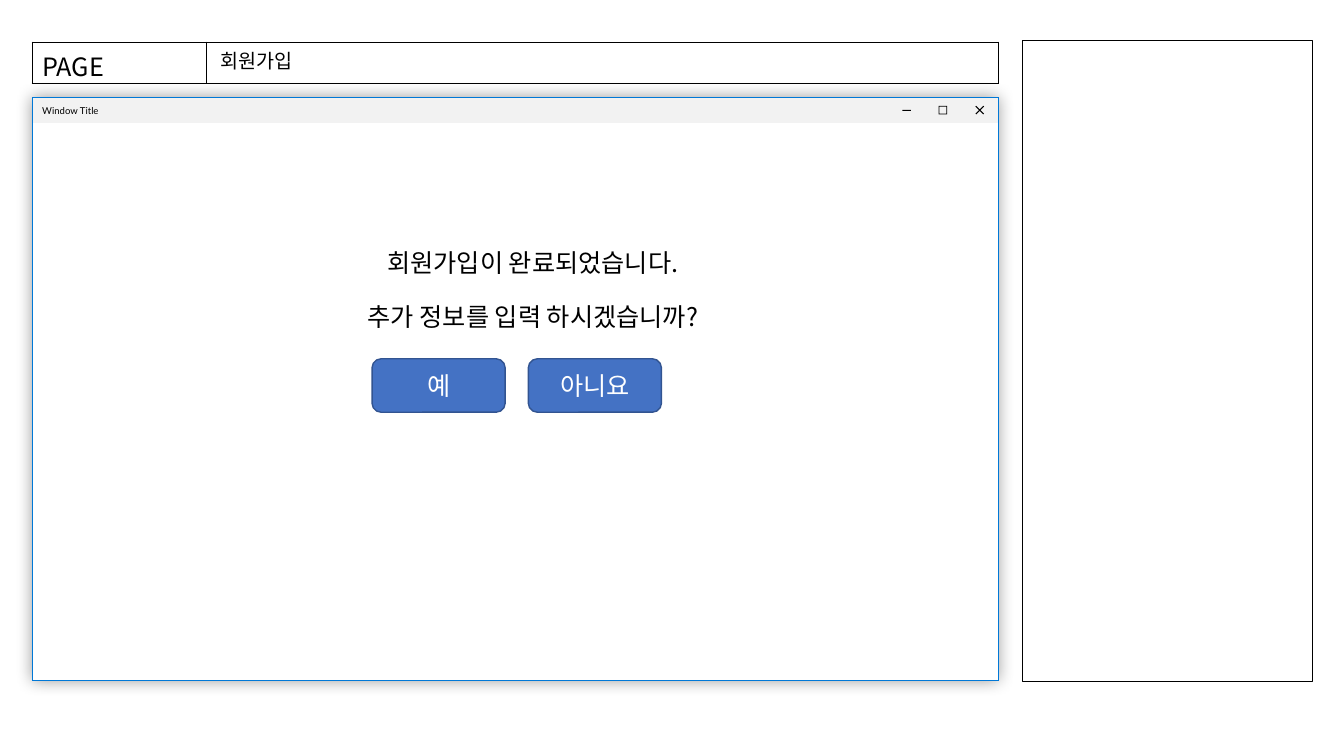
import functools
import lxml.etree
import pptx
import pptx.dml.color
import pptx.enum.shapes
import pptx.enum.text
import pptx.oxml
import pptx.oxml.ns
import pptx.util

COLORS = {"ink": "000000", "paper": "FFFFFF", "bar": "F2F2F2",
          "frame": "0078D7", "button": "4472C4", "button_edge": "325491"}
KOREAN = "Noto Sans CJK KR"
COLS, ROWS = 133.3, 75
ALIGN = pptx.enum.text.PP_ALIGN
ANCHOR = pptx.enum.text.MSO_ANCHOR
SHAPE = pptx.enum.shapes.MSO_SHAPE
qn = pptx.oxml.ns.qn

prs = pptx.Presentation()
prs.slide_width = pptx.util.Inches(13.33)
prs.slide_height = pptx.util.Inches(7.5)
COL, ROW = prs.slide_width / COLS, prs.slide_height / ROWS


def rgb(name):
    return pptx.dml.color.RGBColor.from_string(COLORS[name])


def emu(x, y, w, h):
    return round(x * COL), round(y * ROW), round(w * COL), round(h * ROW)


def inside(box, x, y, w, h):
    return box[0] + x, box[1] + y, w, h


def paint(sp, fill=None, line=None, width=0.5):
    sp.shadow.inherit = False
    if fill:
        sp.fill.solid()
        sp.fill.fore_color.rgb = rgb(fill)
    else:
        sp.fill.background()
    if line:
        sp.line.color.rgb = rgb(line)
        sp.line.width = pptx.util.Pt(width)
    else:
        sp.line.fill.background()
    return sp


def add_block(slide, box, kind=SHAPE.RECTANGLE, **look):
    return paint(slide.shapes.add_shape(kind, *emu(*box)), **look)


def write(tf, text, size=18, font=KOREAN, color="ink", align=ALIGN.LEFT,
          anchor=ANCHOR.TOP, wrap=True, gap=0, spacing=None):
    tf.word_wrap = wrap
    tf.vertical_anchor = anchor
    for i, line in enumerate(text.split("\n")):
        p = tf.add_paragraph() if i else tf.paragraphs[0]
        p.alignment = align
        p.line_spacing = spacing
        if i:
            p.space_before = pptx.util.Pt(gap)
        r = p.add_run()
        r.text = line
        r.font.size = pptx.util.Pt(size)
        r.font.name = font
        r.font.color.rgb = rgb(color)
        ea = lxml.etree.SubElement(r.font._element, qn("a:ea"))
        ea.set("typeface", font)


def add_label(slide, box, text, **style):
    sp = slide.shapes.add_textbox(*emu(*box))
    write(sp.text_frame, text, **style)


def add_glow(sp):
    effects = sp._element.spPr.find(qn("a:effectLst"))
    effects.append(pptx.oxml.parse_xml(
        f'<a:outerShdw {pptx.oxml.ns.nsdecls("a")} blurRad="{pptx.util.Pt(12)}" '
        f'dist="0" dir="0" algn="ctr" rotWithShape="0"><a:srgbClr val="{COLORS["ink"]}">'
        '<a:alpha val="40000"/></a:srgbClr></a:outerShdw>'))


def add_icon(slide, box, contours, units=12):
    left, top, width, height = emu(*box)
    place = [[(round(left + x * width / units), round(top + y * height / units))
              for x, y in contour] for contour in contours]
    builder = slide.shapes.build_freeform(*place[0][0])
    for i, points in enumerate(place):
        if i:
            builder.move_to(*points[0])
        builder.add_line_segments(points[1:], close=True)
    paint(builder.convert_to_shape(), fill="ink")


def draw_border(cell):
    tcPr = cell._tc.get_or_add_tcPr()
    for i, side in enumerate(("lnL", "lnR", "lnT", "lnB")):
        tcPr.insert(i, pptx.oxml.parse_xml(
            f'<a:{side} {pptx.oxml.ns.nsdecls("a")} w="{pptx.util.Pt(1)}"><a:solidFill>'
            f'<a:srgbClr val="{COLORS["ink"]}"/></a:solidFill></a:{side}>'))


def page_header(slide, box, caption, title, split=17.3):
    frame = slide.shapes.add_table(1, 2, *emu(*box))
    table = frame.table
    table.first_row = table.horz_banding = False
    for column, width in zip(table.columns, (split, box[2] - split)):
        column.width = round(width * COL)
    for cell in table.rows[0].cells:
        cell.fill.background()
        cell.margin_bottom = 0
        draw_border(cell)
    write(table.cell(0, 0).text_frame, caption)
    add_label(slide, inside(box, 17.7, 0.4, 74.7, 3.5), title, size=14, spacing=0.9)


def window(slide, box, title):
    add_glow(add_block(slide, box, fill="paper", line="frame"))
    bar = add_block(slide, inside(box, 0, 0, box[2], 2.5), fill="bar")
    bar.text_frame.margin_top = pptx.util.Inches(0.06)
    write(bar.text_frame, title, size=6.8, font="Lato", anchor=ANCHOR.MIDDLE)
    icon = functools.partial(inside, box, y=0.8, w=0.85, h=0.85)
    square = [[(0, 0), (0, 12), (12, 12), (12, 0)],
              [(1, 1), (11, 1), (11, 11), (1, 11)]]
    cross = [[(0, 1), (5, 6), (0, 11), (1, 12), (6, 7), (11, 12),
              (12, 11), (7, 6), (12, 1), (11, 0), (6, 5), (1, 0)]]
    add_block(slide, inside(box, 86.3, 1.2, 0.85, 0.1), fill="ink")
    for i, contours in enumerate((square, cross)):
        add_icon(slide, icon(x=89.9 + i * 3.65), contours)
    add_block(slide, box, line="frame")


def dialog(slide, box, message, answers, width=13.2, pitch=15.5):
    add_label(slide, inside(box, 0, 0, box[2], 10.1), message,
              align=ALIGN.CENTER, wrap=False, gap=17)
    for i, answer in enumerate(answers):
        sp = add_block(slide, inside(box, 3.4 + i * pitch, 11.6, width, 5.3),
                       SHAPE.ROUNDED_RECTANGLE, fill="button", line="button_edge", width=1)
        write(sp.text_frame, answer, color="paper", align=ALIGN.CENTER,
              anchor=ANCHOR.MIDDLE)


def notes_panel(slide, box):
    add_block(slide, box, line="ink", width=0.75)


slide = prs.slides.add_slide(prs.slide_layouts[6])
notes_panel(slide, (101.4, 4, 28.8, 63.6))
window(slide, (3.2, 9.7, 95.8, 57.8), "Window Title")
page_header(slide, (3.2, 4.2, 95.8, 4.1), "PAGE", "회원가입")
dialog(slide, (33.5, 24, 38.7, 16.9),
       "회원가입이 완료되었습니다.\n추가 정보를 입력 하시겠습니까?", ("예", "아니요"))
prs.save("out.pptx")
